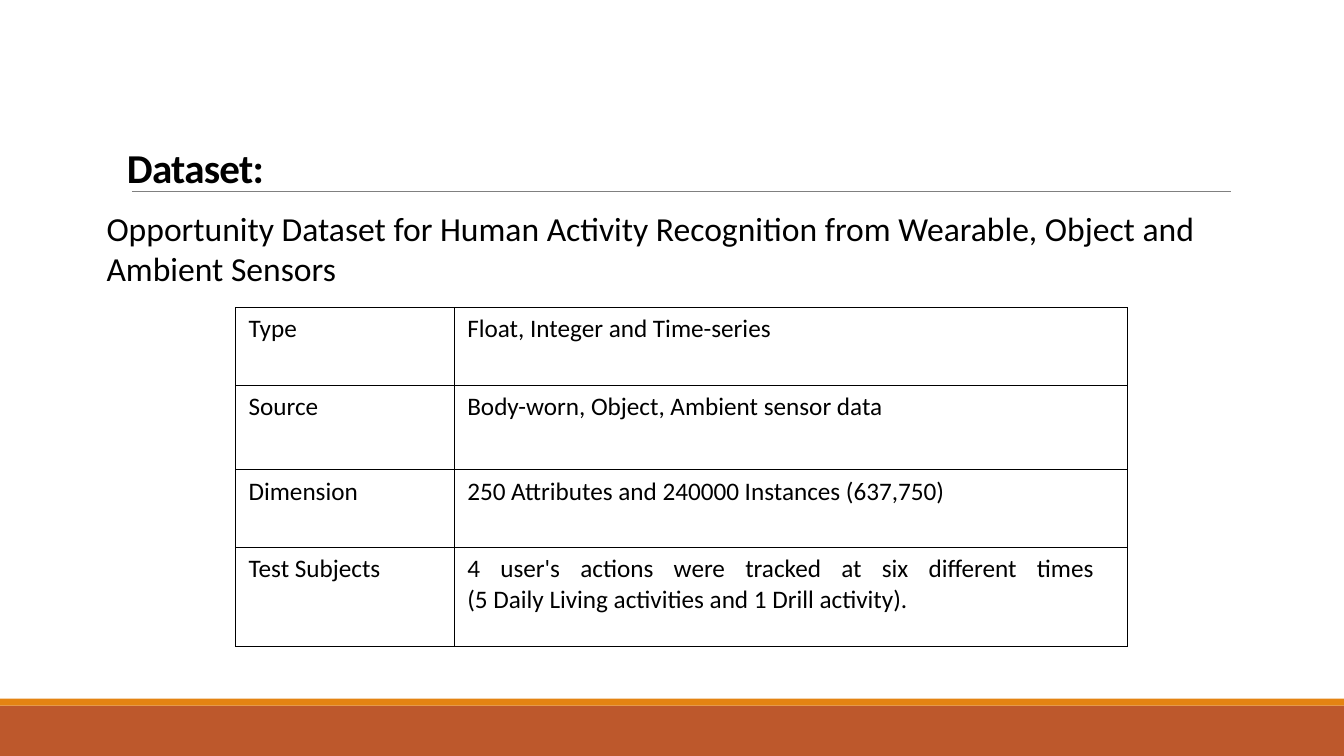
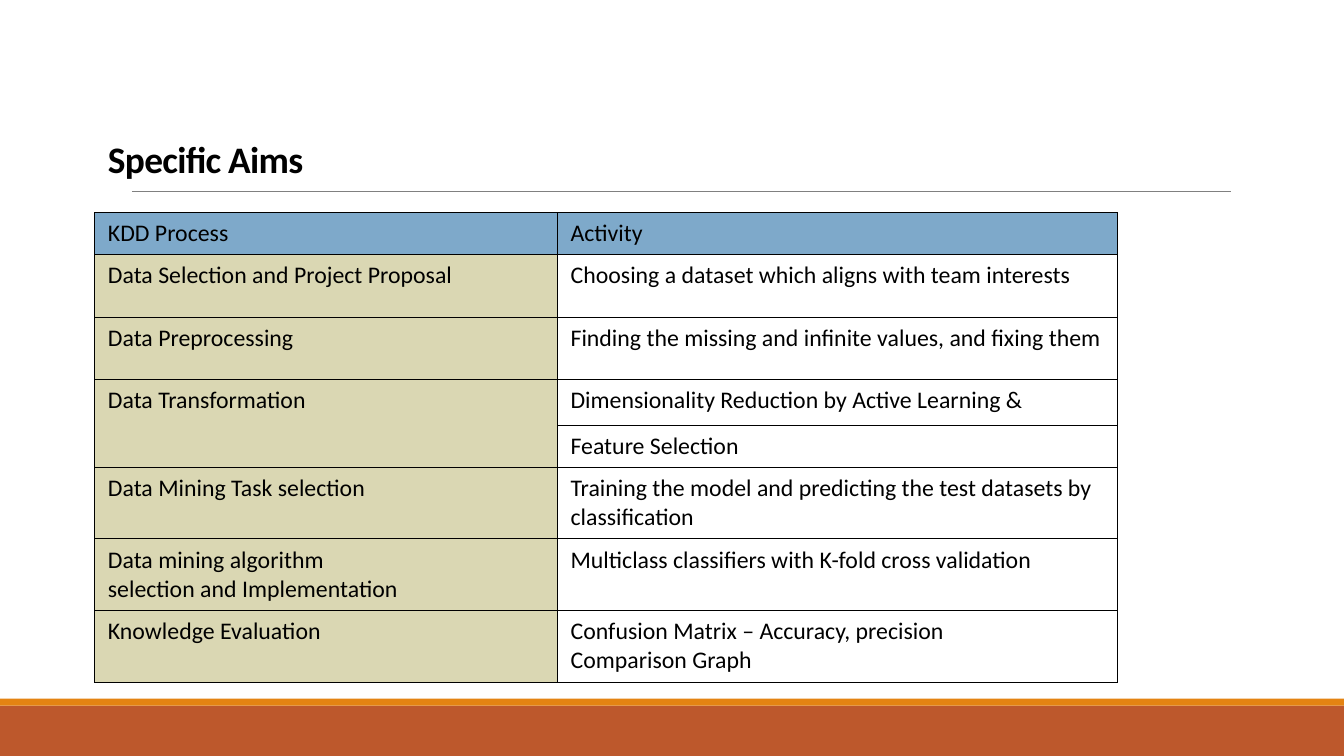
from lxml.etree import SubElement
from pptx import Presentation
from pptx.dml.color import RGBColor
from pptx.enum.shapes import MSO_CONNECTOR as Connector, MSO_SHAPE as Shape
from pptx.enum.text import MSO_ANCHOR as Anchor, PP_ALIGN as Align
from pptx.oxml.ns import qn
from pptx.util import Pt

FONT = "Calibri"
BLACK = RGBColor(0x00, 0x00, 0x00)
GRAY = RGBColor(0x80, 0x80, 0x80)
RUST = RGBColor(0xBD, 0x58, 0x2C)
ORANGE = RGBColor(0xE4, 0x83, 0x12)
BLUE = RGBColor(0x7E, 0xA9, 0xCA)
SAND = RGBColor(0xDA, 0xD7, 0xB3)

WIDTH, HEIGHT = 960, 540
BANDS = [(504, 36, RUST), (499, 5, ORANGE)]  # top, height, colour
RULE_LEFT, RULE_RIGHT, RULE_TOP = 94.3, 879.1, 136.8
TITLE_INSET = 9.4
CELL_INSETS = (9.4, 4.6)
BORDER = 0.75

DATASET_NAME = ("Opportunity Dataset for Human Activity Recognition "
                "from Wearable, Object and Ambient Sensors")

# A list in a cell holds paragraphs; \v is a line break.
DATASET_ROWS = [
    (55.4, "Type", "Float, Integer and Time-series"),
    (60.6, "Source", "Body-worn, Object, Ambient sensor data"),
    (55.4, "Dimension", "250 Attributes and 240000 Instances (637,750)"),
    (70.6, "Test Subjects",
     "4 user's actions were tracked at six different times \v"
     "(5 Daily Living activities and 1 Drill activity)."),
]

AIMS_ROWS = [
    (30, "KDD Process", "Activity"),
    (44.6, "Data Selection and Project Proposal",
     "Choosing a dataset which aligns with team interests"),
    (44.6, "Data Preprocessing",
     "Finding the missing and infinite values, and fixing them"),
    (32.6, "Data Transformation", "Dimensionality Reduction by Active Learning &"),
    (30, None, "Feature Selection"),  # None continues the cell above
    (51.2, "Data Mining Task selection",
     "Training the model and predicting the test datasets by classification"),
    (51.2, ["Data mining algorithm", "selection and Implementation"],
     "Multiclass classifiers with K-fold cross validation"),
    (51.2, "Knowledge Evaluation",
     ["Confusion Matrix – Accuracy, precision", "Comparison Graph"]),
]


def write(frame, text, size, bold=False, align=Align.LEFT, line_spacing=None, tracking=None):
    """Fill a text frame with one paragraph, or one for each item of a list."""
    frame.word_wrap = True
    for index, line in enumerate([text] if isinstance(text, str) else text):
        para = frame.add_paragraph() if index else frame.paragraphs[0]
        para.text = line
        para.alignment = align
        para.line_spacing = line_spacing
        for span in para.runs:
            span.font.name, span.font.size, span.font.bold = FONT, Pt(size), bold
            span.font.color.rgb = BLACK
            if tracking is not None:
                span._r.get_or_add_rPr().set("spc", str(round(tracking * 100)))


def add_text(page, left, top, width, height, text, inset=None, **style):
    box = page.shapes.add_textbox(Pt(left), Pt(top), Pt(width), Pt(height))
    frame = box.text_frame
    frame.vertical_anchor = Anchor.TOP
    if inset is not None:
        frame.margin_left = frame.margin_right = Pt(inset)
        frame.margin_top = frame.margin_bottom = Pt(inset)
    write(frame, text, **style)


def add_page(deck, title, left, top, height, size, line_spacing):
    """Add a slide with the shared bands, rule and title style."""
    page = deck.slides.add_slide(deck.slide_layouts[6])
    for band_top, band_height, color in BANDS:
        band = page.shapes.add_shape(
            Shape.RECTANGLE, 0, Pt(band_top), Pt(WIDTH), Pt(band_height))
        band.shadow.inherit = False
        band.fill.solid()
        band.fill.fore_color.rgb = color
        band.line.fill.background()
    rule = page.shapes.add_connector(
        Connector.STRAIGHT, Pt(RULE_LEFT), Pt(RULE_TOP), Pt(RULE_RIGHT), Pt(RULE_TOP))
    rule.line.color.rgb = GRAY
    rule.line.width = Pt(0.5)
    SubElement(rule._element.spPr, qn("a:effectLst"))
    add_text(page, left, top, 807, height, title, inset=TITLE_INSET, size=size,
             bold=True, line_spacing=line_spacing, tracking=-0.5)
    return page


def add_borders(cell):
    properties = cell._tc.get_or_add_tcPr()
    for side in ("L", "R", "T", "B"):
        line = SubElement(properties, qn(f"a:ln{side}"), w=str(Pt(BORDER)))
        fill = SubElement(line, qn("a:solidFill"))
        SubElement(fill, qn("a:srgbClr"), val=str(BLACK))


def add_grid(page, left, top, widths, rows, header_fill=None, label_fill=None, **style):
    """Add a bordered table; each row is a height followed by its cells."""
    heights = [row[0] for row in rows]
    table = page.shapes.add_table(
        len(rows), len(widths), Pt(left), Pt(top), Pt(sum(widths)), Pt(sum(heights))).table
    table.first_row = table.horz_banding = False
    for column, width in zip(table.columns, widths):
        column.width = Pt(width)
    for r, (height, *texts) in enumerate(rows):
        table.rows[r].height = Pt(height)
        for c, text in enumerate(texts):
            cell = table.cell(r, c)
            cell.margin_left = cell.margin_right = Pt(CELL_INSETS[0])
            cell.margin_top = cell.margin_bottom = Pt(CELL_INSETS[1])
            add_borders(cell)
            color = header_fill if r == 0 else label_fill if c == 0 else None
            if color is None:
                cell.fill.background()
            else:
                cell.fill.solid()
                cell.fill.fore_color.rgb = color
            if text is None:
                table.cell(r - 1, c).merge(cell)
            else:
                write(cell.text_frame, text, **style)


def main():
    deck = Presentation()
    deck.slide_width, deck.slide_height = Pt(WIDTH), Pt(HEIGHT)

    dataset = add_page(deck, "Dataset:", left=81.3, top=98, height=56,
                       size=29.3, line_spacing=0.85)
    add_text(dataset, 69, 144.7, 841, 124, DATASET_NAME, size=24)
    add_grid(dataset, 168.2, 219.6, (156.2, 481), DATASET_ROWS,
             size=18, align=Align.JUSTIFY)

    aims = add_page(deck, "Specific Aims", left=67.7, top=72, height=322,
                    size=26.7, line_spacing=1.5)
    add_grid(aims, 67.7, 152, (330.5, 400.3), AIMS_ROWS,
             header_fill=BLUE, label_fill=SAND, size=17)

    deck.save("out.pptx")


if __name__ == "__main__":
    main()
